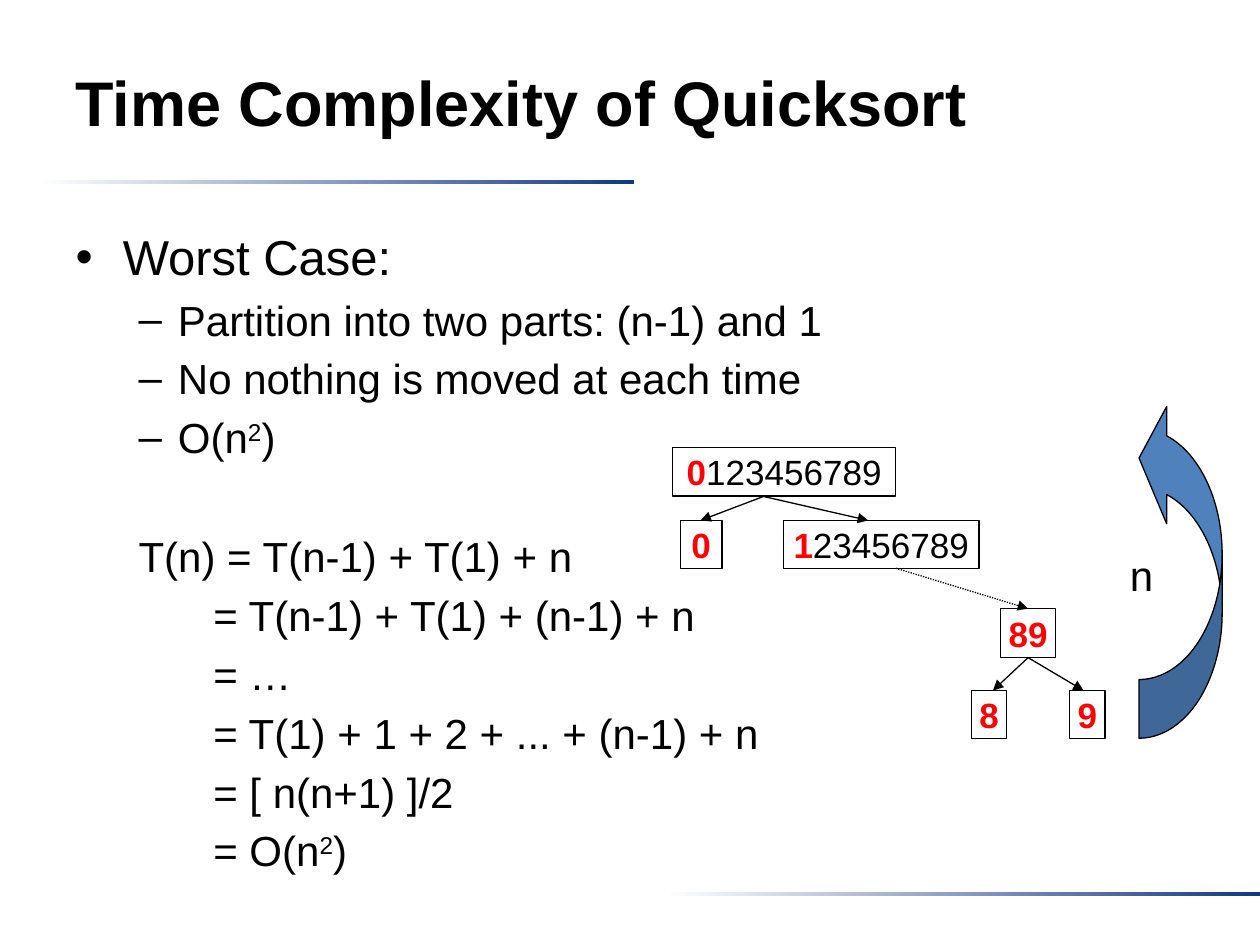
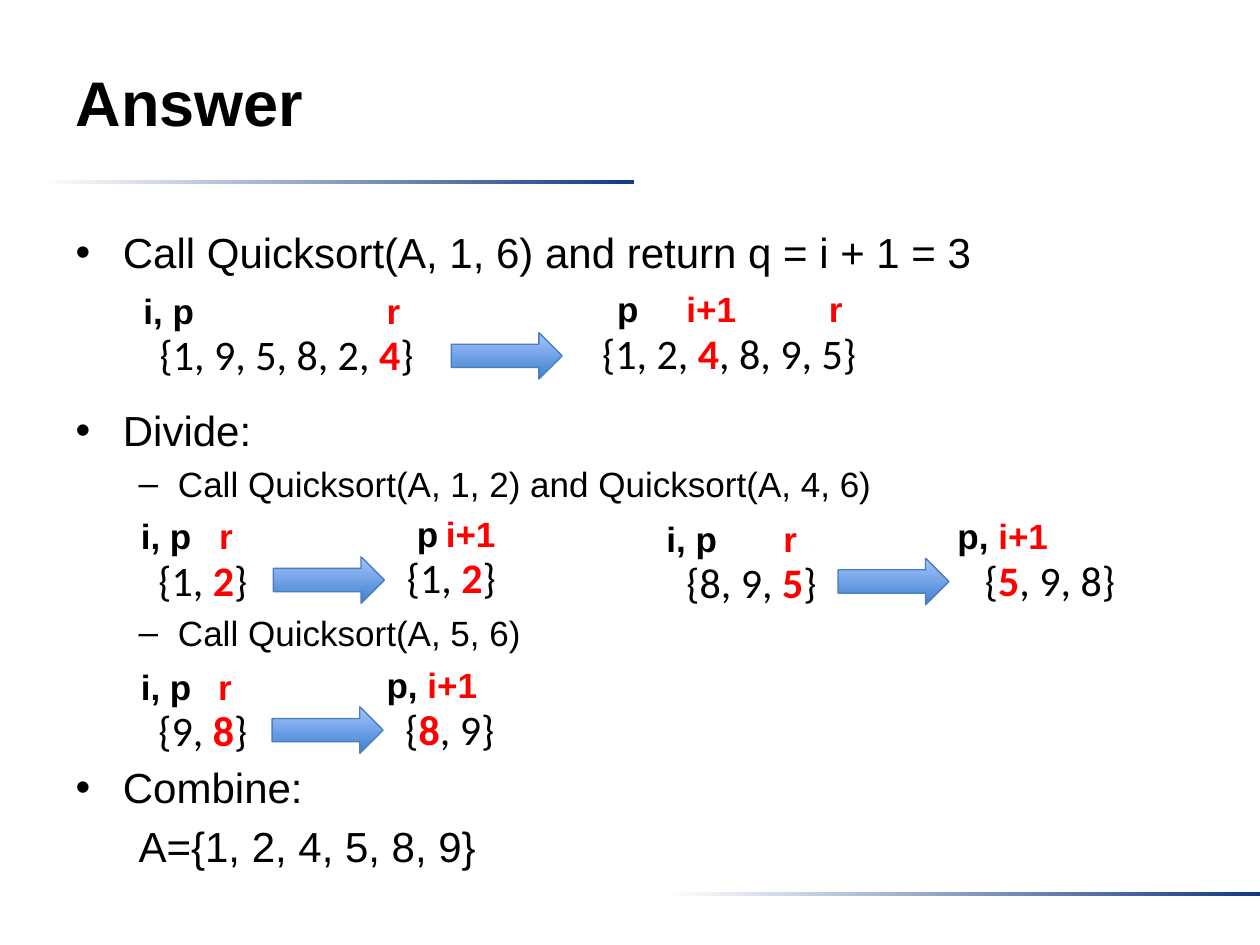
"""Build two slides on the time complexity and a worked answer of Quicksort."""
from typing import NamedTuple

from lxml.etree import SubElement
from pptx import Presentation
from pptx.dml.color import RGBColor
from pptx.enum.dml import MSO_LINE
from pptx.enum.shapes import MSO_CONNECTOR, MSO_SHAPE as Preset
from pptx.enum.text import MSO_ANCHOR as Anchor, MSO_AUTO_SIZE as AutoSize, PP_ALIGN as Align
from pptx.oxml.ns import qn
from pptx.util import Pt

BLACK, WHITE, RED = "000000", "FFFFFF", "FF0000"
NAVY, BLUE, ARROW_EDGE = "133984", "4F81BD", "4B7EBC"
ARROW_LOW, ARROW_HIGH = "3F80CE", "A4C4FF"
TITLE_BOUNDS = (36, 13, 556.6, 90)
RULE_BOUNDS = [(22.3, 103, 339.8, 2.2), (380.2, 509.8, 339.8, 2.2)]
LABEL_WIDTHS = {"i, p": 43.9, "*r*": 22.3, "p": 26.6, "*i+1*": 43.2, "p, *i+1*": 66.2}
NODE_HEIGHT = 27.7
LABEL_RISE = 22.5


class Line(NamedTuple):
    """One body paragraph; a margin makes it a line without bullet."""
    text: str
    size: int
    level: int = 0
    space: float = None
    margin: float = None


COMPLEXITY = [
    Line("Worst Case:", 28),
    Line("Partition into two parts: (n-1) and 1", 24, 1),
    Line("No nothing is moved at each time", 24, 1),
    Line("O(n^2^)", 24, 1),
    Line("T(n) = T(n-1) + T(1) + n", 24, 1, 39.4, 36),
] + [Line(text, 24, 1, margin=78.7) for text in (
    "= T(n-1) + T(1) + (n-1) + n", "= …", "= T(1) + 1 + 2 + ... + (n-1) + n",
    "= [ n(n+1) ]/2", "= O(n^2^)")]

ANSWER = [
    Line("Call Quicksort(A, 1, 6) and return q = i + 1 = 3", 24),
    Line("Divide:", 24, space=73),
    Line("Call Quicksort(A, 1, 2) and Quicksort(A, 4, 6)", 20, 1),
    Line("Call Quicksort(A, 5, 6)", 20, 1, 61),
    Line("Combine:", 24, space=62),
    Line("A={1, 2, 4, 5, 8, 9}", 24, 1, margin=36),
]

NODES = [
    ("*0*123456789", 384.5, 255.8, 127.4),
    ("*0*", 388.8, 297.3, 23.8),
    ("*1*23456789", 447.8, 297.3, 111.6),
    ("*89*", 571.7, 347.9, 31.7),
    ("*8*", 555.1, 394.4, 20.2),
    ("*9*", 611.3, 394.4, 20.2),
]
ROOT, PAIR = (436.3, 283.7), (587.5, 375.8)
BRANCHES = [
    (ROOT, (400.3, 297.4), False), (ROOT, (496.1, 297.4), False),
    (PAIR, (567.4, 394.6), False), (PAIR, (619.2, 394.6), False),
    ((511.9, 324.7), (587.5, 347.8), True),
]

ARRAYS = [
    ("{1, 9, 5, 8, 2, *4*}", 84.2, 184.2, {"i, p": 74.9, "*r*": 213.8}),
    ("{1, 2, *4*, 8, 9, 5}", 337, 183.5, {"p": 345.6, "*i+1*": 385.2, "*r*": 466.6}),
    ("{1, *2*}", 83.5, 313.2, {"i, p": 73.4, "*r*": 118.1}),
    ("{1, *2*}", 225.4, 311.9, {"p": 231.1, "*i+1*": 247.7}),
    ("{8, 9, *5*}", 385.2, 314.7, {"i, p": 373.7, "*r*": 440.6}),
    ("{*5*, 9, 8}", 555.8, 313.2, {"p, *i+1*": 540}),
    ("{9, *8*}", 83.5, 399, {"i, p": 73.4, "*r*": 117.5}),
    ("{*8*, 9}", 224.6, 398.2, {"p, *i+1*": 213.8}),
]
STEP_ARROWS = [(257.8, 190.1), (156.2, 318.2), (478.8, 319), (155.5, 403.9)]


def color(code):
    """Turn a hex string into a colour."""
    return RGBColor.from_string(code)


def points(*lengths):
    """Turn numbers into lengths in points."""
    return [Pt(length) for length in lengths]


def add_span(para, text, size, code=BLACK, bold=False, font="Arial"):
    """Add one formatted run to a paragraph."""
    span = para.add_run()
    span.text = text
    span.font.name, span.font.size, span.font.bold = font, Pt(size), bold
    span.font.color.rgb = color(code)


def add_marked(para, text, size, bold=False, font="Arial"):
    """Add text whose parts between asterisks are red and bold."""
    for index, part in enumerate(text.split("*")):
        marked = index % 2 == 1
        if part:
            add_span(para, part, size, RED if marked else BLACK, bold or marked, font)


def add_text(page, text, bounds, size, bold=False, font="Arial", wrap=True):
    """Add a text box with marked text."""
    box = page.shapes.add_textbox(*points(*bounds))
    box.text_frame.word_wrap = wrap
    add_marked(box.text_frame.paragraphs[0], text, size, bold, font)


def add_preset(page, preset, bounds, fill, edge=None):
    """Add a flat preset shape, with a gradient if fill is (start, end, angle)."""
    shape = page.shapes.add_shape(preset, *points(*bounds))
    shape.shadow.inherit = False
    if isinstance(fill, tuple):
        shape.fill.gradient()
        shape.fill.gradient_angle = fill[2]
        for index, stop in enumerate(shape.fill.gradient_stops):
            stop.position = index
            stop.color.rgb = color(fill[index])
    else:
        shape.fill.solid()
        shape.fill.fore_color.rgb = color(fill)
    if edge:
        shape.line.color.rgb = color(edge)
        shape.line.width = Pt(0.75)
    else:
        shape.line.fill.background()
    return shape


def place(shape, bounds):
    """Move a placeholder and stop its text from shrinking."""
    shape.left, shape.top, shape.width, shape.height = points(*bounds)
    shape.text_frame.auto_size = AutoSize.NONE


def fill_body(body, lines):
    """Write the list lines, raising superscripts between carets."""
    frame = body.text_frame
    for index, line in enumerate(lines):
        para = frame.add_paragraph() if index else frame.paragraphs[0]
        para.level = line.level
        if line.space:
            para.space_before = Pt(line.space)
        for part_index, part in enumerate(line.text.split("^")):
            add_span(para, part, line.size)
            if part_index % 2:
                body.element.xpath(".//a:r/a:rPr")[-1].set("baseline", "30000")
        if line.margin:
            settings = body.element.xpath(".//a:p")[-1].get_or_add_pPr()
            settings.set("marL", str(Pt(line.margin)))
            settings.set("indent", "0")
            SubElement(settings, qn("a:buNone"))


def add_page(deck, title, lines, body_bounds):
    """Add a slide with its title and list."""
    page = deck.slides.add_slide(deck.slide_layouts[1])
    heading, body = page.placeholders
    place(heading, TITLE_BOUNDS)
    para = heading.text_frame.paragraphs[0]
    para.alignment = Align.LEFT
    add_span(para, title, 36, bold=True)
    place(body, body_bounds)
    fill_body(body, lines)
    return page


def add_master_rules(deck, page):
    """Draw the fading rules and hand them to the slide master."""
    for bounds in RULE_BOUNDS:
        rule = add_preset(page, Preset.RECTANGLE, bounds, (WHITE, NAVY, 0))
        deck.slide_master.shapes.element.append(rule.element)


def add_node(page, text, left, top, width):
    """Add a boxed node of the partition tree."""
    box = add_preset(page, Preset.RECTANGLE, (left, top, width, NODE_HEIGHT), WHITE, BLACK)
    frame = box.text_frame
    frame.word_wrap = False
    frame.vertical_anchor = Anchor.MIDDLE
    frame.paragraphs[0].alignment = Align.CENTER
    add_marked(frame.paragraphs[0], text, 20)


def add_branch(page, start, end, dotted):
    """Add an arrow between two tree nodes."""
    branch = page.shapes.add_connector(MSO_CONNECTOR.STRAIGHT, *points(*start, *end))
    branch.line.color.rgb = color(BLACK)
    branch.line.width = Pt(0.75)
    if dotted:
        branch.line.dash_style = MSO_LINE.ROUND_DOT
    settings = branch.element.spPr
    SubElement(settings.find(qn("a:ln")), qn("a:tailEnd"), type="triangle")
    SubElement(settings, qn("a:effectLst"))


def add_depth_arrow(page):
    """Add the curved arrow that shows the depth n of the tree."""
    arrow = add_preset(page, Preset.CURVED_LEFT_ARROW, (650.9, 228.2, 47.5, 193.7), BLUE, BLACK)
    for index, value in enumerate((0.706, 1.412, 0.333)):
        arrow.adjustments[index] = round(value, 3)
    arrow.element.spPr.find(qn("a:xfrm")).set("flipV", "1")
    add_text(page, "n", (638.6, 310.3, 23.8, 29.5), 24)


def add_array(page, text, left, top, labels):
    """Add an array with its index labels above."""
    add_text(page, text, (left, top, 165.6, 36), 24, font="Calibri")
    for label, label_left in labels.items():
        bounds = (label_left, top - LABEL_RISE, LABEL_WIDTHS[label], 31.7)
        add_text(page, label, bounds, 20, bold=True, wrap=False)


def main():
    """Build and save the deck."""
    deck = Presentation()
    deck.slide_width, deck.slide_height = points(720, 540)

    page = add_page(deck, "Time Complexity of Quicksort", COMPLEXITY, (36, 126, 553.7, 398.2))
    add_master_rules(deck, page)
    for node in NODES:
        add_node(page, *node)
    for branch in BRANCHES:
        add_branch(page, *branch)
    add_depth_arrow(page)

    page = add_page(deck, "Answer", ANSWER, (36, 126, 648, 389.5))
    for array in ARRAYS:
        add_array(page, *array)
    for left, top in STEP_ARROWS:
        add_preset(page, Preset.RIGHT_ARROW, (left, top, 63.4, 26.6),
                   (ARROW_LOW, ARROW_HIGH, 90), ARROW_EDGE)

    deck.save("out.pptx")


if __name__ == "__main__":
    main()
